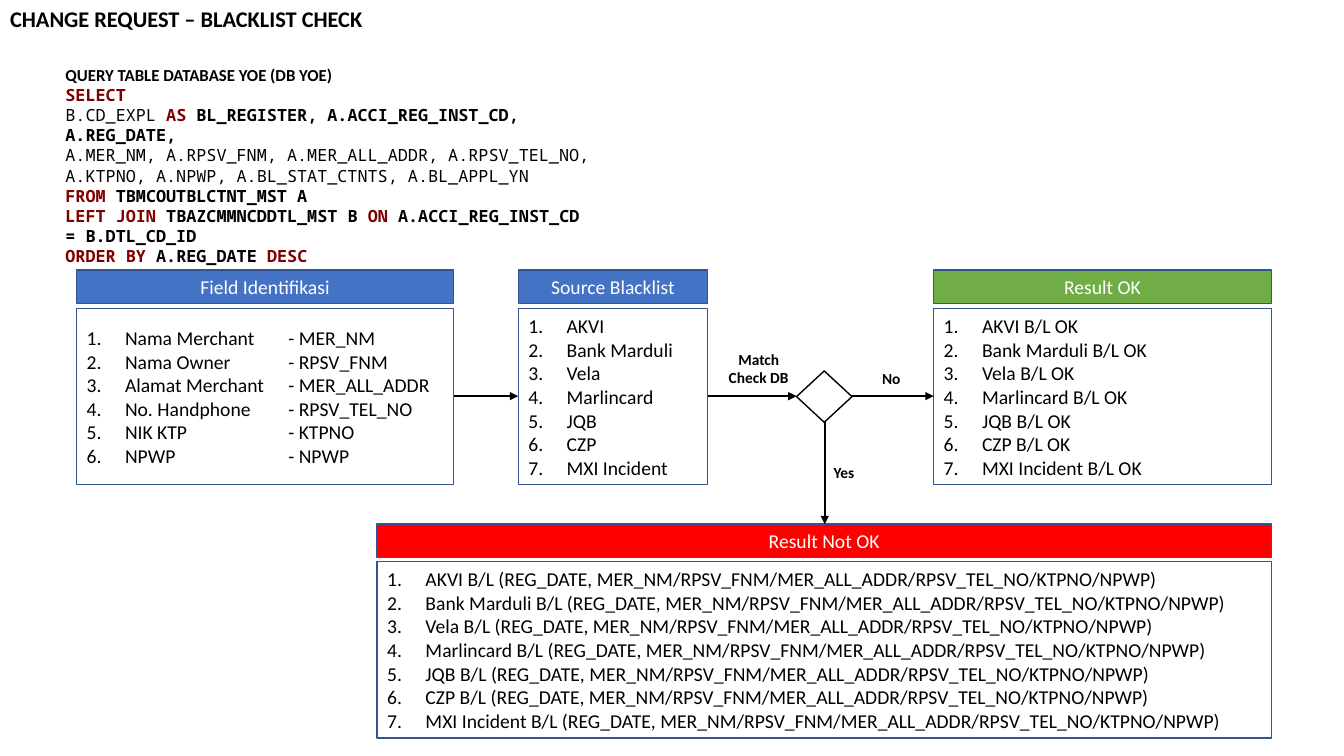
from dataclasses import dataclass

from pptx import Presentation
from pptx.dml.color import RGBColor as RGB
from pptx.enum.shapes import MSO_CONNECTOR as LINK, MSO_SHAPE as FORM
from pptx.enum.text import MSO_ANCHOR as ANCHOR, MSO_AUTO_SIZE as FIT, PP_ALIGN as ALIGN
from pptx.oxml.ns import qn
from pptx.util import Inches, Pt


@dataclass(frozen=True)
class Theme:
    sans: str = "Calibri"
    mono: str = "Noto Sans Mono"
    black: str = "000000"
    white: str = "FFFFFF"
    blue: str = "4472C4"
    edge: str = "325491"
    green: str = "70AD47"
    red: str = "FF0000"
    maroon: str = "800000"
    title: int = 16
    body: int = 14
    code: int = 12
    label: int = 11


THEME = Theme()

# Rows shared by the flow
HEAD_TOP, LIST_TOP, MID = 2.68, 3.06, 3.93
HEAD_HIGH, LIST_HIGH = 0.33, 1.75
FORK = 8.18

FIELDS = ["Nama Merchant\t- MER_NM", "Nama Owner\t- RPSV_FNM",
          "Alamat Merchant\t- MER_ALL_ADDR", "No. Handphone\t- RPSV_TEL_NO",
          "NIK KTP\t\t- KTPNO", "NPWP\t\t- NPWP"]
SOURCES = ["AKVI", "Bank Marduli", "Vela", "Marlincard", "JQB", "CZP", "MXI Incident"]
DETAIL = "(REG_DATE, MER_NM/RPSV_FNM/MER_ALL_ADDR/RPSV_TEL_NO/KTPNO/NPWP)"

# Query lines as (style, text) runs: key word, bold name or plain
QUERY = [
    [("key", "SELECT")],
    [("plain", "B.CD_EXPL "), ("key", "AS"),
     ("name", " BL_REGISTER, A.ACCI_REG_INST_CD, A.REG_DATE,")],
    [("plain", "A.MER_NM, A.RPSV_FNM, A.MER_ALL_ADDR, A.RPSV_TEL_NO,")],
    [("plain", "A.KTPNO, A.NPWP, A.BL_STAT_CTNTS, A.BL_APPL_YN")],
    [("key", "FROM"), ("name", " TBMCOUTBLCTNT_MST A")],
    [("key", "LEFT JOIN"), ("name", " TBAZCMMNCDDTL_MST B "), ("key", "ON"),
     ("name", " A.ACCI_REG_INST_CD = B.DTL_CD_ID")],
    [("key", "ORDER BY"), ("name", " A.REG_DATE "), ("key", "DESC")],
]


def add_run(para, text, size, color=THEME.black, bold=False, face=THEME.sans):
    run = para.add_run()
    run.text = text
    font = run.font
    font.name, font.size, font.bold = face, Pt(size), bold
    font.color.rgb = RGB.from_string(color)


def place(shape, left, top, width, height):
    shape.left, shape.top = Inches(left), Inches(top)
    shape.width, shape.height = Inches(width), Inches(height)


def paint(shape, fill, edge=THEME.edge):
    if fill:
        shape.fill.solid()
        shape.fill.fore_color.rgb = RGB.from_string(fill)
    else:
        shape.fill.background()
    shape.line.color.rgb = RGB.from_string(edge)
    shape.line.width = Pt(1)


def add_title(slide, text):
    title = slide.shapes.title
    place(title, 0, 0, 3.74, 0.37)
    frame = title.text_frame
    frame.auto_size, frame.word_wrap = FIT.NONE, False
    frame.vertical_anchor = ANCHOR.TOP
    para = frame.paragraphs[0]
    para.alignment = ALIGN.LEFT
    add_run(para, text, THEME.title, bold=True)


def add_box(slide, left, top, width, height):
    box = slide.shapes.add_textbox(*map(Inches, (left, top, width, height)))
    box.text_frame.word_wrap = True
    return box.text_frame


def add_query(slide):
    frame = add_box(slide, 0.55, 0.59, 5.48, 1.92)
    add_run(frame.paragraphs[0], "QUERY TABLE DATABASE YOE (DB YOE)", THEME.code, bold=True)
    for line in QUERY:
        para = frame.add_paragraph()
        for style, text in line:
            color = THEME.maroon if style == "key" else THEME.black
            add_run(para, text, THEME.code, color, style != "plain", THEME.mono)


def add_label(slide, text, spot, align=ALIGN.LEFT):
    frame = add_box(slide, *spot)
    # Slim right margin keeps each label on its planned lines
    frame.margin_right = Inches(0.05)
    if align == ALIGN.CENTER:
        frame.margin_left = frame.margin_right
    para = frame.paragraphs[0]
    para.alignment = align
    add_run(para, text, THEME.label, bold=True)


def add_head(slide, text, left, top, width, fill):
    head = slide.shapes.add_shape(
        FORM.RECTANGLE, *map(Inches, (left, top, width, HEAD_HIGH)))
    head.shadow.inherit = False
    paint(head, fill)
    head.text_frame.vertical_anchor = ANCHOR.MIDDLE
    para = head.text_frame.paragraphs[0]
    para.alignment = ALIGN.CENTER
    add_run(para, text, THEME.body, THEME.white)


def add_list(holder, items, left, top, width):
    place(holder, left, top, width, LIST_HIGH)
    paint(holder, THEME.white)
    frame = holder.text_frame
    frame.auto_size, frame.word_wrap = FIT.NONE, True
    frame.vertical_anchor = ANCHOR.MIDDLE
    for index, item in enumerate(items):
        para = frame.add_paragraph() if index else frame.paragraphs[0]
        # Number, hanging indent and tab step
        props = para._p.get_or_add_pPr()
        props.set("marL", str(Inches(0.38)))
        props.set("indent", str(-Inches(0.38)))
        props.set("defTabSz", str(Inches(1)))
        mark = props.makeelement(qn("a:buAutoNum"), {"type": "arabicPeriod"})
        props.append(mark)
        para.space_before = Pt(0)
        para.alignment = ALIGN.LEFT
        add_run(para, item, THEME.body)


def add_arrow(slide, start, end):
    link = slide.shapes.add_connector(LINK.STRAIGHT, *map(Inches, start + end))
    link.line.color.rgb = RGB.from_string(THEME.black)
    link.line.width = Pt(1.5)
    line = link.line._get_or_add_ln()
    line.append(line.makeelement(qn("a:tailEnd"), {"type": "triangle"}))
    props = link._element.spPr
    props.append(props.makeelement(qn("a:effectLst"), {}))


def add_fork(slide):
    fork = slide.shapes.add_shape(
        FORM.DIAMOND, *map(Inches, (7.9, 3.68, 0.55, 0.51)))
    fork.shadow.inherit = False
    paint(fork, None, THEME.black)


def main():
    deck = Presentation()
    deck.slide_width, deck.slide_height = Inches(13.33), Inches(7.5)
    # Comparison layout: a title and four body holders
    slide = deck.slides.add_slide(deck.slide_layouts[4])
    add_title(slide, "CHANGE REQUEST – BLACKLIST CHECK")
    add_query(slide)

    # Headed lists: head, fill, left, head top, list top, width, items
    panels = [
        ("Field Identifikasi", THEME.blue, 0.76, HEAD_TOP, LIST_TOP, 3.74, FIELDS),
        ("Source Blacklist", THEME.blue, 5.14, HEAD_TOP, LIST_TOP, 1.88, SOURCES),
        ("Result OK", THEME.green, 9.26, HEAD_TOP, LIST_TOP, 3.35,
         [f"{name} B/L OK" for name in SOURCES]),
        ("Result Not OK", THEME.red, 3.74, 5.2, 5.57, 8.87,
         [f"{name} B/L {DETAIL}" for name in SOURCES]),
    ]
    for slot, (head, fill, left, top, below, width, items) in enumerate(panels, 1):
        add_head(slide, head, left, top, width, fill)
        add_list(slide.placeholders[slot], items, left, below, width)

    # Flow between the lists
    add_fork(slide)
    for start, end in ((4.5, 5.14), (7.02, 7.9), (8.45, 9.26)):
        add_arrow(slide, (start, MID), (end, MID))
    add_arrow(slide, (FORK, 4.19), (FORK, 5.2))
    add_label(slide, "No", (8.65, 3.61, 0.41, 0.29))
    add_label(slide, "Yes", (8.17, 4.55, 0.54, 0.29))
    add_label(slide, "Match Check DB", (7.13, 3.42, 0.79, 0.47), ALIGN.CENTER)

    deck.save("out.pptx")


if __name__ == "__main__":
    main()
